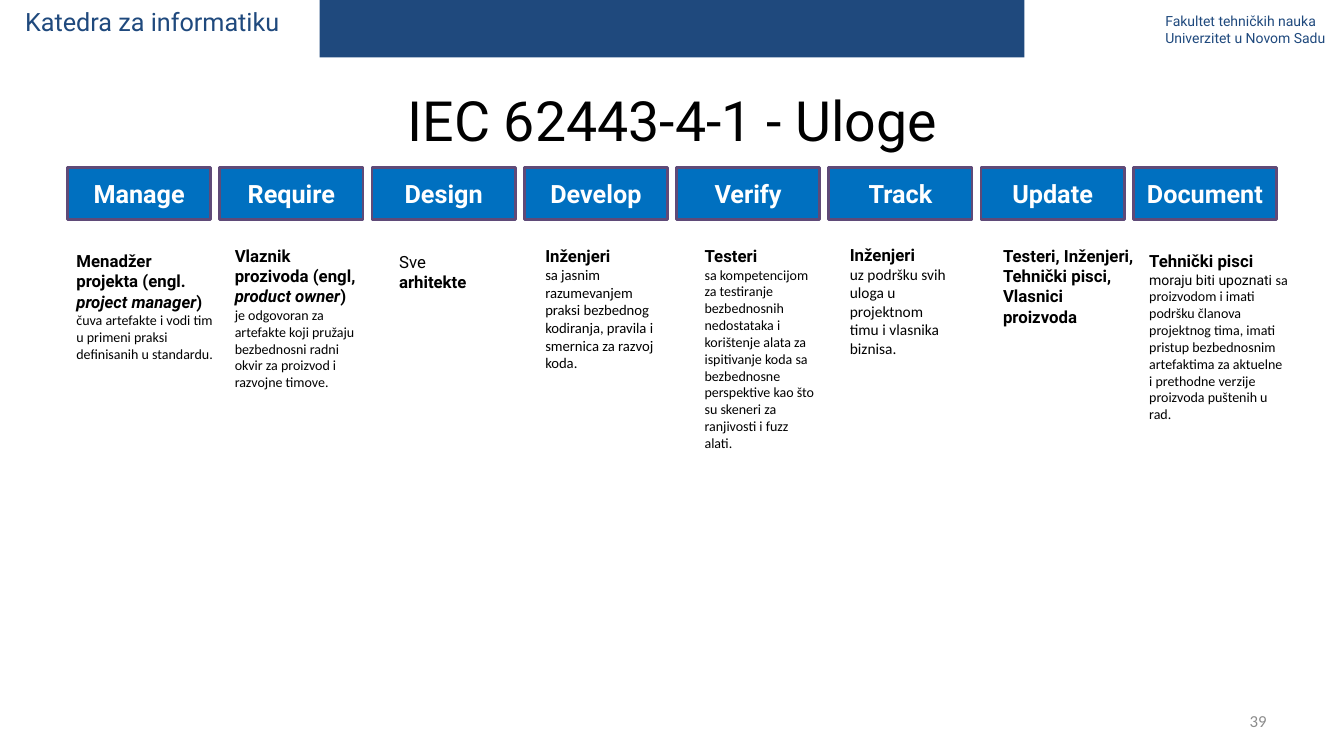
from pptx import Presentation
from pptx.dml.color import RGBColor
from pptx.enum import shapes, text
from pptx.util import Inches, Pt

THEME = {
    "navy": RGBColor(0x1F, 0x49, 0x7D),
    "blue": RGBColor(0x00, 0x70, 0xC0),
    "purple": RGBColor(0x5F, 0x4A, 0x78),
    "black": RGBColor(0, 0, 0),
    "white": RGBColor(255, 255, 255),
    "grey": RGBColor(0x8C, 0x8C, 0x8C),
}
STYLES = {
    "title": ({"name": "Roboto", "size": Pt(39.6)}, "black"),
    "department": ({"name": "Roboto", "size": Pt(18)}, "navy"),
    "faculty": ({"name": "Roboto", "size": Pt(10)}, "navy"),
    "phase": ({"name": "Roboto", "size": Pt(18), "bold": True}, "white"),
    "role": ({"name": "Roboto", "size": Pt(12), "bold": True}, "black"),
    "role italic": ({"name": "Roboto", "size": Pt(12), "bold": True, "italic": True}, "black"),
    "role plain": ({"name": "Roboto", "size": Pt(12)}, "black"),
    "detail": ({"name": "Calibri", "size": Pt(10)}, "black"),
    "detail 10.5": ({"name": "Calibri", "size": Pt(10.5)}, "black"),
    "detail 11": ({"name": "Calibri", "size": Pt(11)}, "black"),
    "detail roboto": ({"name": "Roboto", "size": Pt(10)}, "black"),
    "number": ({"name": "Calibri", "size": Pt(12)}, "grey"),
}


def write(shape, paragraphs, align=text.PP_ALIGN.LEFT):
    """Fill a shape with paragraphs, each a list of (text, style name) runs."""
    frame = shape.text_frame
    frame.word_wrap = True
    for index, runs in enumerate(paragraphs):
        paragraph = frame.paragraphs[0] if index == 0 else frame.add_paragraph()
        paragraph.alignment = align
        for words, style in runs:
            run = paragraph.add_run()
            run.text = words
            values, colour = STYLES[style]
            for name, value in values.items():
                setattr(run.font, name, value)
            run.font.color.rgb = THEME[colour]


def add_rectangle(left, top, width, height, colour):
    shape = slide.shapes.add_shape(
        shapes.MSO_SHAPE.RECTANGLE, Inches(left), Inches(top), Inches(width), Inches(height))
    shape.shadow.inherit = False
    shape.fill.solid()
    shape.fill.fore_color.rgb = THEME[colour]
    shape.line.fill.background()
    return shape


presentation = Presentation()
presentation.slide_width = Inches(13.33)
presentation.slide_height = Inches(7.5)
slide = presentation.slides.add_slide(presentation.slide_layouts[5])

# Header band and title
add_rectangle(3.17, -0.02, 6.99, 0.59, "navy")

title = slide.shapes.title
for name, value in {"left": 0.67, "top": 0.81, "width": 12, "height": 0.74}.items():
    setattr(title, name, Inches(value))
title.text_frame.vertical_anchor = text.MSO_ANCHOR.MIDDLE
write(title, [[("IEC 62443-4-1 - Uloge", "title")]], text.PP_ALIGN.CENTER)

# Phases across the slide
phases = ["Manage", "Require", "Design", "Develop", "Verify", "Track", "Update", "Document"]
for column, phase in enumerate(phases):
    box = add_rectangle(0.67 + 1.51 * column, 1.66, 1.42, 0.52, "blue")
    box.line.color.rgb = THEME["purple"]
    box.line.width = Pt(2)
    box.text_frame.vertical_anchor = text.MSO_ANCHOR.MIDDLE
    box.text_frame.margin_left = box.text_frame.margin_right = Inches(0.05)
    write(box, [[(phase, "phase")]], text.PP_ALIGN.CENTER)

# Header texts and the roles under each phase: left, top, width, height, paragraphs
text_boxes = [
    (0.15, 0.01, 3.21, 0.4, [[("Katedra za informatiku", "department")]]),
    (11.46, 0.08, 1.87, 0.44, [
        [("Fakultet tehničkih nauka", "faculty")],
        [("Univerzitet u Novom Sadu", "faculty")]]),
    (0.66, 2.44, 1.56, 1.21, [
        [("Menadžer projekta (engl. ", "role"), ("project manager", "role italic"), (")", "role")],
        [("čuva artefakte i vodi tim u primeni praksi definisanih u standardu.", "detail")]]),
    (2.23, 2.39, 1.42, 1.75, [
        [("Vlaznik prozivoda (engl, ", "role"), ("product owner", "role italic"), (") ", "role"),
         ("je odgovoran za artefakte koji pružaju bezbednosni radni okvir za proizvod "
          "i razvojne timove.", "detail")]]),
    (3.86, 2.45, 1.06, 0.5, [[("Sve ", "role plain"), ("arhitekte", "role")]]),
    (5.31, 2.39, 1.3, 1.36, [
        [("Inženjeri", "role")],
        [("sa jasnim razumevanjem praksi bezbednog kodiranja, pravila i smernica "
          "za razvoj koda.", "detail 10.5")]]),
    (6.89, 2.39, 1.3, 2.15, [
        [("Testeri", "role")],
        [("sa kompetencijom za testiranje bezbednosnih nedostataka i korištenje alata "
          "za ispitivanje koda sa bezbednosne perspektive kao što su skeneri za ranjivosti "
          "i fuzz alati.", "detail")]]),
    (8.33, 2.38, 1.18, 1.23, [
        [("Inženjeri", "role")],
        [("uz podršku svih uloga u projektnom timu i vlasnika biznisa.", "detail 11")]]),
    (9.85, 2.39, 1.57, 0.91, [
        [("Testeri, Inženjeri, Tehnički pisci, Vlasnici proizvoda", "role")]]),
    (11.3, 2.44, 1.57, 1.82, [
        [("Tehnički pisci", "role"), (" moraju biti upoznati ", "detail roboto"),
         ("sa proizvodom i imati podršku članova projektnog tima, imati pristup "
          "bezbednosnim artefaktima za aktuelne i prethodne verzije proizvoda "
          "puštenih u rad.", "detail")]]),
]
for left, top, width, height, paragraphs in text_boxes:
    box = slide.shapes.add_textbox(Inches(left), Inches(top), Inches(width), Inches(height))
    write(box, paragraphs)

page_number = slide.shapes.add_textbox(Inches(11.88), Inches(6.95), Inches(0.78), Inches(0.4))
page_number.text_frame.vertical_anchor = text.MSO_ANCHOR.MIDDLE
write(page_number, [[("39", "number")]], text.PP_ALIGN.RIGHT)

presentation.save("out.pptx")
